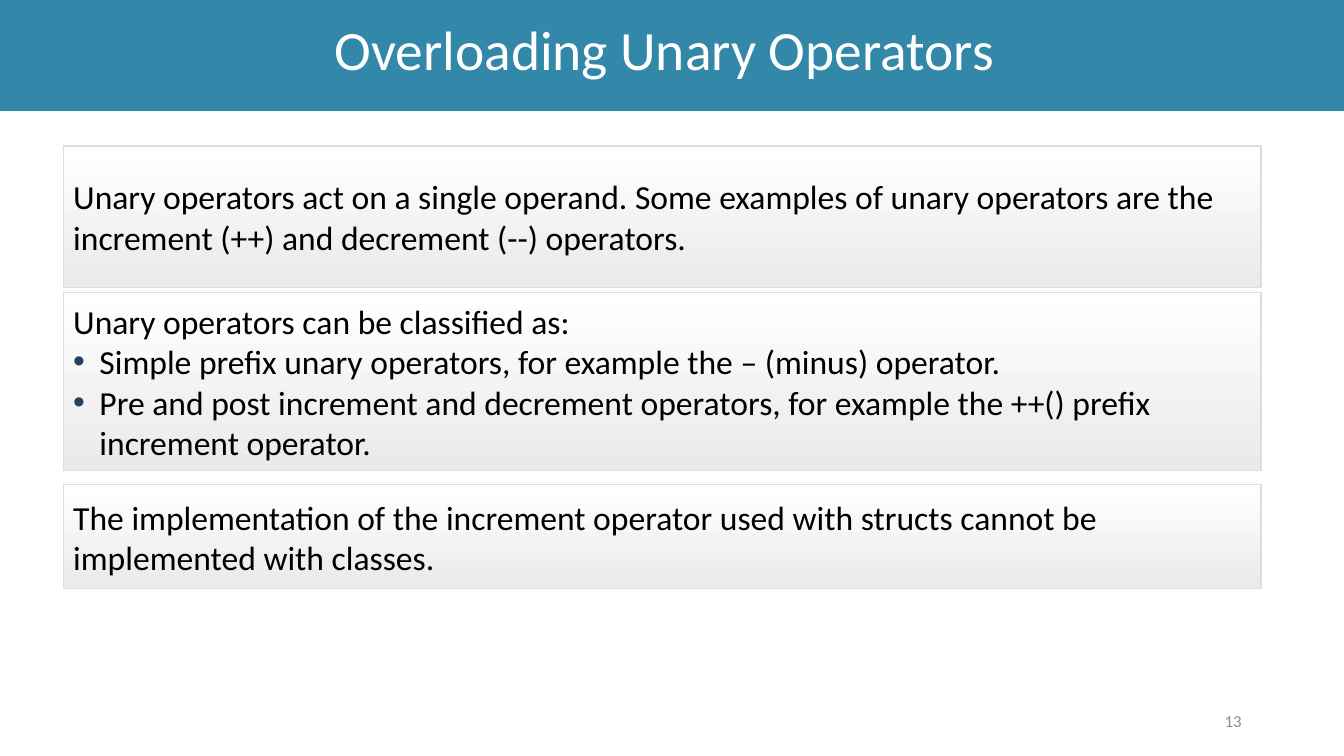
from pptx import Presentation
from pptx.dml.color import RGBColor as RGB
from pptx.enum.shapes import MSO_SHAPE as SHAPE
from pptx.enum.text import MSO_ANCHOR as ANCHOR, PP_ALIGN as ALIGN
from pptx.oxml.ns import qn
from pptx.util import Pt
from lxml.etree import SubElement

COLORS = {"bar": "3388A9", "title": "FFFFFF", "text": "000000", "number": "8C8C8C",
          "bullet": "254061", "border": "DDDDDD", "top": "FFFFFF", "bottom": "EAEAEA"}
TITLE = "Overloading Unary Operators"
NUMBER = "13"
PANEL_LEFT, PANEL_WIDTH = 45.2, 855.4
INDENT = 18.75
PANELS = [
    (104.4, 100.8, ["Unary operators act on a single operand. Some examples of unary operators "
                    "are the increment (++) and decrement (--) operators."], []),
    (208.8, 127.4, ["Unary operators can be classified as:"],
     ["Simple prefix unary operators, for example the – (minus) operator.",
      "Pre and post increment and decrement operators, for example the ++() prefix "
      "increment operator."]),
    (346.3, 74.2, ["The implementation of the increment operator used with structs cannot be "
                   "implemented with classes."], []),
]
FORMATS = {
    "title": {"name": "Calibri", "size": Pt(39.6)},
    "text": {"name": "Calibri", "size": Pt(24)},
    "number": {"name": "Calibri", "size": Pt(12)},
}


def color(key):
    return RGB.from_string(COLORS[key])


def add_bullet(p):
    pPr = p._p.get_or_add_pPr()
    pPr.set("marL", str(Pt(INDENT)))
    pPr.set("indent", str(-Pt(INDENT)))
    SubElement(SubElement(pPr, qn("a:buClr")), qn("a:srgbClr"), val=COLORS["bullet"])
    SubElement(pPr, qn("a:buFont"), typeface="Arial")
    SubElement(pPr, qn("a:buChar"), char="•")


def write(s, style, lines, bullets=(), align=ALIGN.LEFT):
    tf = s.text_frame
    tf.word_wrap = True
    tf.vertical_anchor = ANCHOR.MIDDLE
    for i, line in enumerate([*lines, *bullets]):
        p = tf.paragraphs[0] if i == 0 else tf.add_paragraph()
        p.alignment = align
        if i >= len(lines):
            add_bullet(p)
        r = p.add_run()
        r.text = line
        for name, value in FORMATS[style].items():
            setattr(r.font, name, value)
        r.font.color.rgb = color(style)
    return tf


def add_rect(shapes, left, top, width, height):
    s = shapes.add_shape(SHAPE.RECTANGLE, Pt(left), Pt(top), Pt(width), Pt(height))
    s.shadow.inherit = False
    return s


def add_panel(shapes, top, height, lines, bullets):
    s = add_rect(shapes, PANEL_LEFT, top, PANEL_WIDTH, height)
    s.fill.gradient()
    s.fill.gradient_angle = 270
    for stop, key, position in zip(s.fill.gradient_stops, ("top", "bottom"), (0, 1)):
        stop.color.rgb = color(key)
        stop.position = position
    s.line.color.rgb = color("border")
    s.line.width = Pt(1)
    write(s, "text", lines, bullets)


def main():
    prs = Presentation()
    prs.slide_width, prs.slide_height = Pt(960), Pt(540)
    shapes = prs.slides.add_slide(prs.slide_layouts[6]).shapes

    bar = add_rect(shapes, 0, 0, 960, 79.2)
    bar.fill.solid()
    bar.fill.fore_color.rgb = color("bar")
    bar.line.fill.background()
    tf = write(bar, "title", [TITLE], align=ALIGN.CENTER)
    tf.margin_right, tf.margin_bottom = Pt(18), Pt(8)
    tf.paragraphs[0].line_spacing = 0.9

    number = shapes.add_textbox(Pt(678), Pt(500.5), Pt(216), Pt(28.8))
    write(number, "number", [NUMBER], align=ALIGN.RIGHT)

    for panel in PANELS:
        add_panel(shapes, *panel)
    prs.save("out.pptx")


if __name__ == "__main__":
    main()
